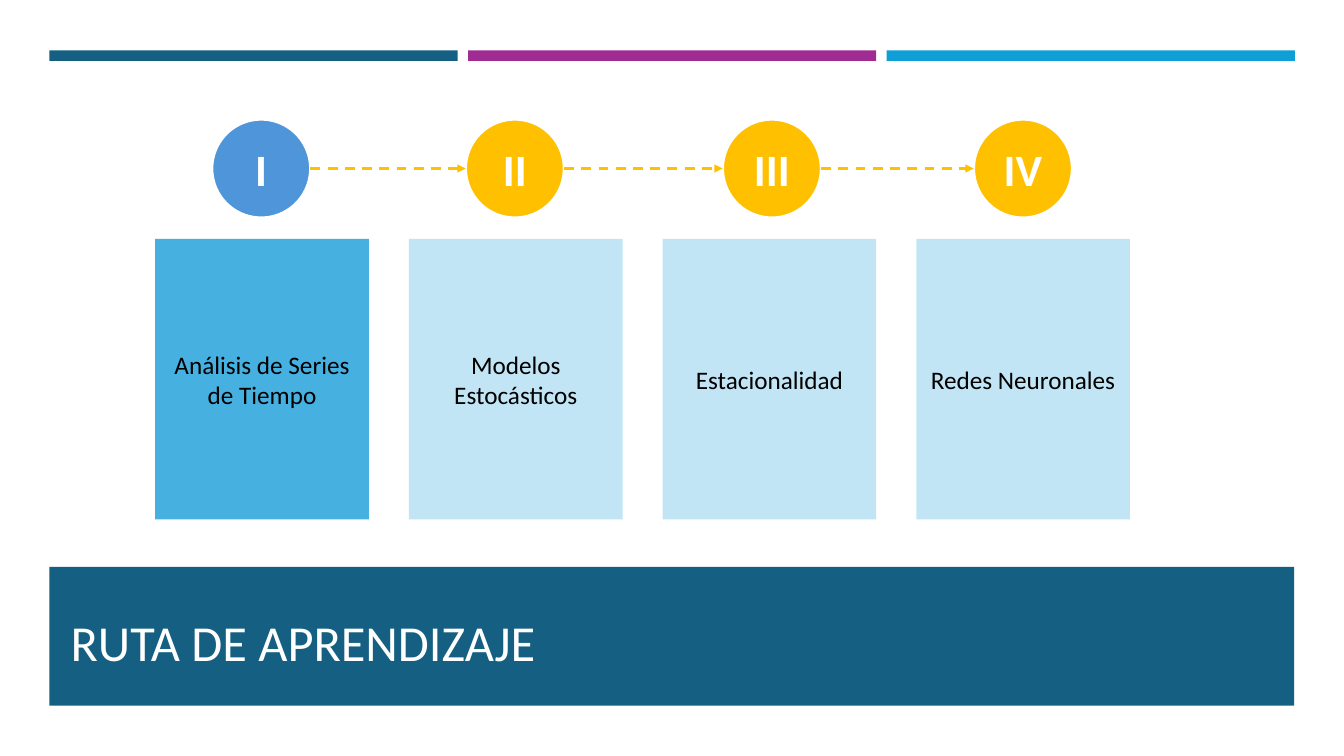
from dataclasses import dataclass
from itertools import pairwise

from lxml import etree
from pptx import Presentation
from pptx.dml.color import RGBColor
from pptx.enum import dml, shapes, text
from pptx.oxml.ns import qn
from pptx.util import Pt

# Content: numeral, left edge of its circle, topic
TITLE = "RUTA DE APRENDIZAJE"
STEPS = [
    ("I", 151.4, "Análisis de Series de Tiempo"),
    ("II", 332.6, "Modelos Estocásticos"),
    ("III", 516.2, "Estacionalidad"),
    ("IV", 695.5, "Redes Neuronales"),
]


@dataclass(frozen=True)
class Theme:
    font: str = "Calibri"
    navy: str = "156082"
    purple: str = "A02B93"
    blue: str = "0F9ED5"
    gold: str = "FFC000"
    active_circle: str = "4E95D9"
    card: str = "C1E5F5"
    active_card: str = "46B1E1"
    white: str = "FFFFFF"
    black: str = "000000"
    title_size: float = 36
    numeral_size: float = 32
    topic_size: float = 18


theme = Theme()
SHAPE = shapes.MSO_SHAPE

# Layout
LEFT, WIDTH = 35.3, 889.2
STRIPE_WIDTH, STRIPE_PITCH = 291.6, 299
CIRCLE_TOP, CIRCLE_SIZE = 85.2, 70.4
CARD_LEFT, CARD_TOP, CARD_PITCH = 110.9, 170.6, 181.2
CARD_WIDTH, CARD_HEIGHT = 152.6, 200.4

deck = Presentation()
deck.slide_width, deck.slide_height = Pt(960), Pt(540)
page = deck.slides.add_slide(deck.slide_layouts[6])


def add_block(kind, left, top, width, height, fill, outline=None):
    block = page.shapes.add_shape(kind, Pt(left), Pt(top), Pt(width), Pt(height))
    block.shadow.inherit = False
    block.fill.solid()
    block.fill.fore_color.rgb = RGBColor.from_string(fill)
    if outline:
        block.line.color.rgb = RGBColor.from_string(outline)
        block.line.width = Pt(2)
    else:
        block.line.fill.background()
    return block


def write(box, words, size, color, bold=False, align=text.PP_ALIGN.CENTER,
          anchor=text.MSO_ANCHOR.MIDDLE):
    frame = box.text_frame
    frame.word_wrap = True
    frame.vertical_anchor = anchor
    para = frame.paragraphs[0]
    para.text = words
    para.alignment = align
    para.font.name = theme.font
    para.font.size = Pt(size)
    para.font.bold = bold
    para.font.color.rgb = RGBColor.from_string(color)


def add_arrow(start, end, y):
    arrow = page.shapes.add_connector(
        shapes.MSO_CONNECTOR.STRAIGHT, Pt(start), Pt(y), Pt(end), Pt(y))
    arrow.line.color.rgb = RGBColor.from_string(theme.gold)
    arrow.line.width = Pt(1.75)
    arrow.line.dash_style = dml.MSO_LINE.DASH
    etree.SubElement(arrow.line._get_or_add_ln(), qn("a:tailEnd"), type="triangle")
    etree.SubElement(arrow._element.spPr, qn("a:effectLst"))


# Top stripes
for index, color in enumerate((theme.navy, theme.purple, theme.blue)):
    add_block(SHAPE.RECTANGLE, LEFT + index * STRIPE_PITCH, 36, STRIPE_WIDTH, 7.5, color)

# Title band
add_block(SHAPE.RECTANGLE, LEFT, 404.9, WIDTH, 99.2, theme.navy)
title = page.shapes.add_textbox(Pt(43.4), Pt(419), Pt(868.3), Pt(64.1))
write(title, TITLE, theme.title_size, theme.white,
      align=text.PP_ALIGN.LEFT, anchor=text.MSO_ANCHOR.BOTTOM)

# Steps: the first one is highlighted
for index, (numeral, circle_left, topic) in enumerate(STEPS):
    active = index == 0
    circle = add_block(SHAPE.OVAL, circle_left, CIRCLE_TOP, CIRCLE_SIZE, CIRCLE_SIZE,
                       theme.active_circle if active else theme.gold, theme.white)
    write(circle, numeral, theme.numeral_size, theme.white, bold=True)
    card = add_block(SHAPE.RECTANGLE, CARD_LEFT + index * CARD_PITCH, CARD_TOP,
                     CARD_WIDTH, CARD_HEIGHT, theme.active_card if active else theme.card)
    write(card, topic, theme.topic_size, theme.black)

# Arrows from each circle to the next
for (_, here, _), (_, following, _) in pairwise(STEPS):
    add_arrow(here + CIRCLE_SIZE, following, CIRCLE_TOP + CIRCLE_SIZE / 2)

deck.save("out.pptx")
